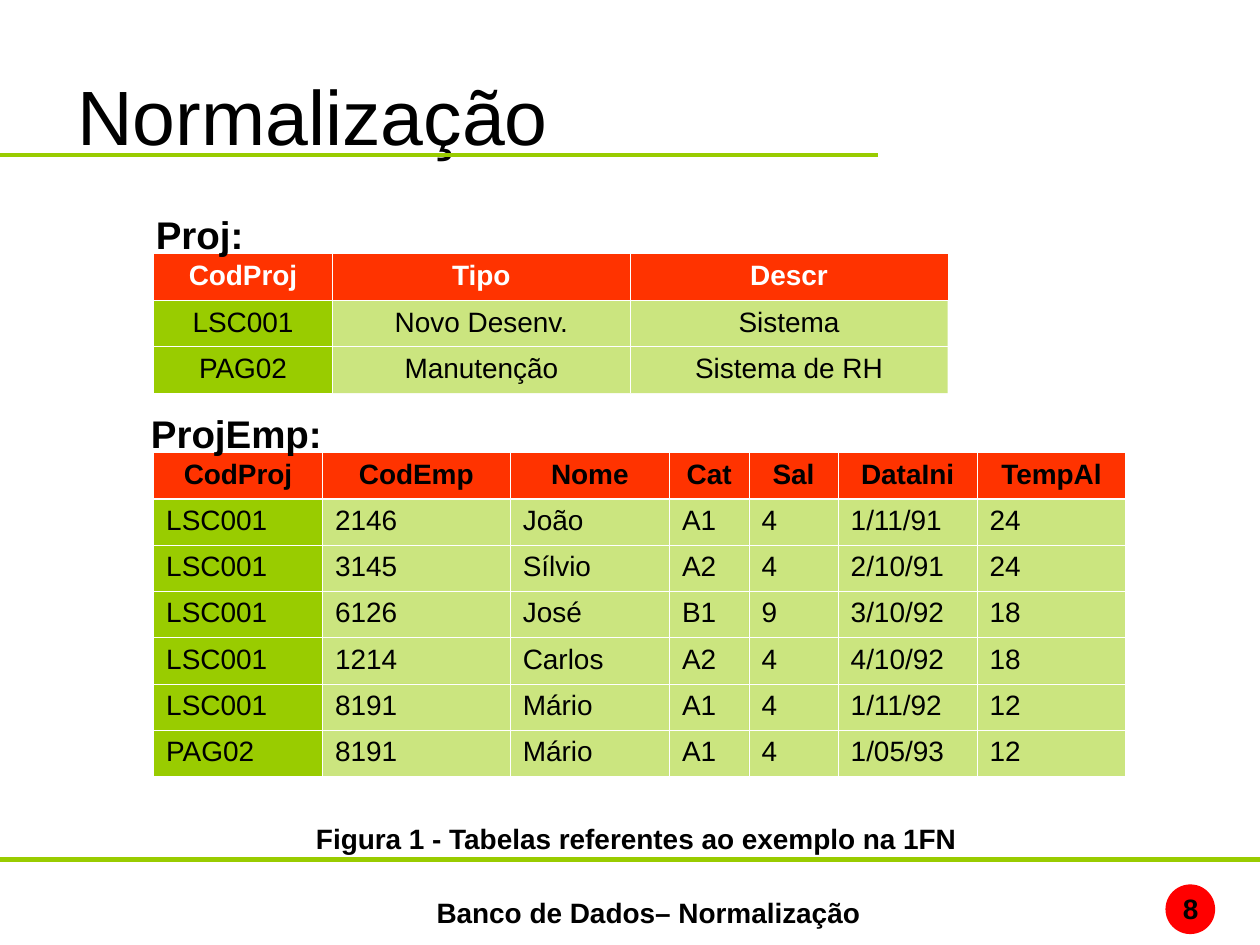
from dataclasses import dataclass

from lxml.etree import SubElement
from pptx import Presentation
from pptx.dml.color import RGBColor
from pptx.enum.shapes import MSO_CONNECTOR, MSO_SHAPE
from pptx.enum.text import MSO_ANCHOR, MSO_AUTO_SIZE, PP_ALIGN
from pptx.oxml.ns import qn
from pptx.util import Pt


@dataclass(frozen=True)
class Theme:
    font: str = "Arial"
    black: str = "000000"
    white: str = "FFFFFF"
    green: str = "99CC00"
    orange: str = "FF3300"
    red: str = "FF0000"
    title_size: float = 44
    label_size: float = 22
    body_size: float = 16
    rule_width: float = 2.75
    border_width: float = 0.45
    header_border_width: float = 1.08


THEME = Theme()
SLIDE_SIZE = (720, 540)
ROW_HEIGHT = 26.45

TITLE = ("Normalização", (36.9, 20.5, 648, 90))
RULES = [(491, 720), (88.6, 501.8)]  # y, length
BADGE = (666, 505.4, 28.4, 28.4)

# text, size, (left, top, width, height)
LABELS = [
    ("8", THEME.body_size, (668.9, 505.7, 24, 26.6)),
    ("Banco de Dados– Normalização", THEME.body_size, (242.4, 508.3, 257, 26.6)),
    ("Proj:", THEME.label_size, (82, 116.9, 66, 33.8)),
    ("ProjEmp:", THEME.label_size, (79.2, 230.7, 114, 33.8)),
    ("Figura 1 - Tabelas referentes ao exemplo na 1FN", THEME.body_size,
     (173.5, 465.8, 382, 26.6)),
]

TABLES = [
    dict(
        origin=(87.8, 145.3),
        widths=[102.2, 170.2, 181.4],
        header_color=THEME.white,
        body_alignment=PP_ALIGN.CENTER,
        outer_border=False,
        rows=[
            ("CodProj", "Tipo", "Descr"),
            ("LSC001", "Novo Desenv.", "Sistema"),
            ("PAG02", "Manutenção", "Sistema de RH"),
        ],
    ),
    dict(
        origin=(87.8, 258.6),
        widths=[96.5, 107.3, 91, 45.4, 51, 79.4, 85],
        header_color=THEME.black,
        body_alignment=PP_ALIGN.LEFT,
        outer_border=True,
        rows=[
            ("CodProj", "CodEmp", "Nome", "Cat", "Sal", "DataIni", "TempAl"),
            ("LSC001", "2146", "João", "A1", "4", "1/11/91", "24"),
            ("LSC001", "3145", "Sílvio", "A2", "4", "2/10/91", "24"),
            ("LSC001", "6126", "José", "B1", "9", "3/10/92", "18"),
            ("LSC001", "1214", "Carlos", "A2", "4", "4/10/92", "18"),
            ("LSC001", "8191", "Mário", "A1", "4", "1/11/92", "12"),
            ("PAG02", "8191", "Mário", "A1", "4", "1/05/93", "12"),
        ],
    ),
]


def rgb(color):
    return RGBColor.from_string(color)


def place(shape, box):
    shape.left, shape.top, shape.width, shape.height = map(Pt, box)


def write(text_frame, text, size, color=THEME.black, bold=False, alignment=PP_ALIGN.LEFT):
    text_frame.text = text
    paragraph = text_frame.paragraphs[0]
    paragraph.alignment = alignment
    font = paragraph.runs[0].font
    font.name, font.size, font.bold = THEME.font, Pt(size), bold
    font.color.rgb = rgb(color)


def add_title(slide):
    text, box = TITLE
    title = slide.shapes.title
    place(title, box)
    write(title.text_frame, text, THEME.title_size)
    title.text_frame.vertical_anchor = MSO_ANCHOR.MIDDLE


def add_badge(slide):
    badge = slide.shapes.add_shape(MSO_SHAPE.OVAL, *map(Pt, BADGE))
    badge.shadow.inherit = False
    badge.fill.solid()
    badge.fill.fore_color.rgb = rgb(THEME.red)
    badge.line.fill.background()


def add_rule(slide, y, length):
    rule = slide.shapes.add_connector(MSO_CONNECTOR.STRAIGHT, 0, Pt(y), Pt(length), Pt(y))
    rule.line.color.rgb = rgb(THEME.green)
    rule.line.width = Pt(THEME.rule_width)
    SubElement(rule._element.spPr, qn("a:effectLst"))


def add_label(slide, text, size, box):
    frame = slide.shapes.add_textbox(*map(Pt, box)).text_frame
    frame.word_wrap = False
    frame.auto_size = MSO_AUTO_SIZE.SHAPE_TO_FIT_TEXT
    write(frame, text, size, bold=True)


def set_border(cell, side, width):
    """Draw a white border on side L, R, T or B; call before filling the cell."""
    line = SubElement(cell._tc.get_or_add_tcPr(), qn(f"a:ln{side}"), w=str(Pt(width)))
    if width:
        fill = SubElement(line, qn("a:solidFill"))
        SubElement(fill, qn("a:srgbClr"), val=THEME.white)
    else:
        SubElement(line, qn("a:noFill"))


def fill_cell(cell, color, opacity=100):
    cell.fill.solid()
    cell.fill.fore_color.rgb = rgb(color)
    if opacity < 100:
        color_element = cell._tc.tcPr.find(qn("a:solidFill")).find(qn("a:srgbClr"))
        SubElement(color_element, qn("a:alpha"), val=str(opacity * 1000))


def add_data_table(slide, origin, widths, header_color, body_alignment, outer_border, rows):
    size = (sum(widths), ROW_HEIGHT * len(rows))
    table = slide.shapes.add_table(len(rows), len(widths), *map(Pt, origin + size)).table
    table.horz_banding = False
    for column, width in zip(table.columns, widths):
        column.width = Pt(width)
    outer_width = THEME.border_width if outer_border else 0
    last_row, last_column = len(rows) - 1, len(widths) - 1

    for r, values in enumerate(rows):
        table.rows[r].height = Pt(ROW_HEIGHT)
        for c, value in enumerate(values):
            cell = table.cell(r, c)
            inner = THEME.border_width
            under_header = THEME.header_border_width
            set_border(cell, "L", inner if c else outer_width)
            set_border(cell, "R", inner if c < last_column else outer_width)
            set_border(cell, "T", {0: outer_width, 1: under_header}.get(r, inner))
            set_border(cell, "B", {0: under_header, last_row: outer_width}.get(r, inner))
            if r == 0:
                fill_cell(cell, THEME.orange)
                write(cell.text_frame, value, THEME.body_size, header_color, True,
                      PP_ALIGN.CENTER)
            else:
                fill_cell(cell, THEME.green, 50 if c else 100)
                write(cell.text_frame, value, THEME.body_size, alignment=body_alignment)


def main():
    presentation = Presentation()
    presentation.slide_width, presentation.slide_height = map(Pt, SLIDE_SIZE)
    slide = presentation.slides.add_slide(presentation.slide_layouts[5])
    add_badge(slide)
    add_title(slide)
    for y, length in RULES:
        add_rule(slide, y, length)
    for table in TABLES:
        add_data_table(slide, **table)
    for text, size, box in LABELS:
        add_label(slide, text, size, box)
    presentation.save("out.pptx")


if __name__ == "__main__":
    main()
